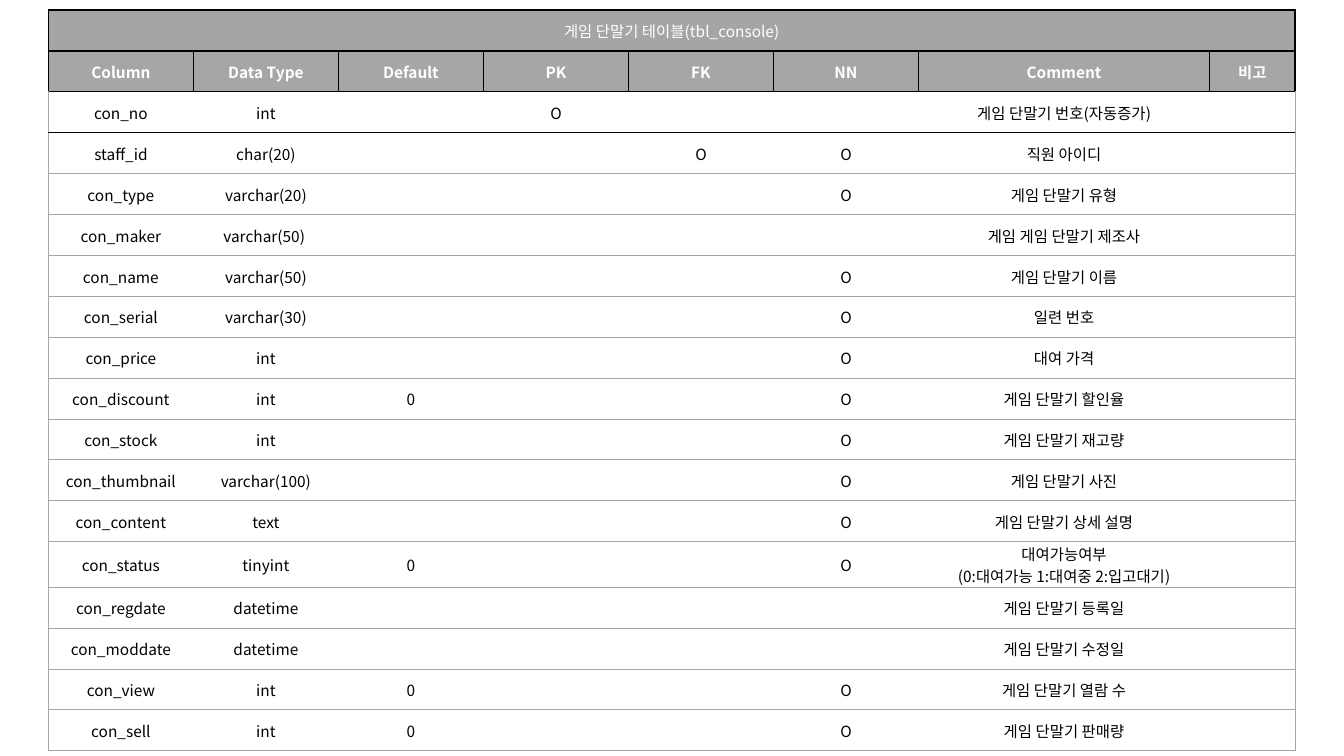
from lxml.etree import SubElement
from pptx import Presentation
from pptx.dml.color import RGBColor
from pptx.enum.text import MSO_ANCHOR, PP_ALIGN
from pptx.oxml.ns import qn
from pptx.util import Pt

FONT = "Noto Sans CJK KR"
BLACK, WHITE, GRAY = "000000", "FFFFFF", "A5A5A5"
HEADERS = ["Column", "Data Type", "Default", "PK", "FK", "NN", "Comment", "비고"]
FIELDS = [
    ["con_no", "int", "", "O", "", "", "게임 단말기 번호(자동증가)", ""],
    ["staff_id", "char(20)", "", "", "O", "O", "직원 아이디", ""],
    ["con_type", "varchar(20)", "", "", "", "O", "게임 단말기 유형", ""],
    ["con_maker", "varchar(50) ", "", "", "", "", "게임 게임 단말기 제조사", ""],
    ["con_name", "varchar(50)", "", "", "", "O", "게임 단말기 이름", ""],
    ["con_serial", "varchar(30)", "", "", "", "O", "일련 번호", ""],
    ["con_price", "int", "", "", "", "O", "대여 가격", ""],
    ["con_discount", "int", "0", "", "", "O", "게임 단말기 할인율", ""],
    ["con_stock", "int", "", "", "", "O", "게임 단말기 재고량", ""],
    ["con_thumbnail", "varchar(100)", "", "", "", "O", "게임 단말기 사진", ""],
    ["con_content", "text", "", "", "", "O", "게임 단말기 상세 설명", ""],
    ["con_status", "tinyint", "0", "", "", "O",
     "대여가능여부\n(0:대여가능 1:대여중 2:입고대기)", ""],
    ["con_regdate", "datetime", "", "", "", "", "게임 단말기 등록일", ""],
    ["con_moddate", "datetime", "", "", "", "", "게임 단말기 수정일", ""],
    ["con_view", "int", "0", "", "", "O", "게임 단말기 열람 수", ""],
    ["con_sell", "int", "0", "", "", "O", "게임 단말기 판매량", ""],
]
ROWS = [["게임 단말기 테이블(tbl_console)"] + [""] * 7, HEADERS] + FIELDS
COLUMN_WIDTHS = [103.6] * 6 + [208, 61]
ROW_HEIGHT = 29.2


def write_cell(cell, text, color=BLACK, bold=False, size=11):
    cell.vertical_anchor = MSO_ANCHOR.MIDDLE
    cell.margin_left = cell.margin_right = cell.margin_top = Pt(0.7)
    cell.margin_bottom = 0
    paragraph = cell.text_frame.paragraphs[0]
    paragraph.text = text
    paragraph.alignment = PP_ALIGN.CENTER
    for run in paragraph.runs:
        run.font.size = Pt(size)
        run.font.bold = bold
        run.font.color.rgb = RGBColor.from_string(color)
        run.font.name = FONT
        SubElement(run.font._element, qn("a:ea"), typeface=FONT)


def set_border(cell, side, color, width):
    properties = cell._tc.get_or_add_tcPr()
    line = SubElement(properties, qn(f"a:ln{side}"), w=str(Pt(width)))
    if color is None:
        SubElement(line, qn("a:noFill"))
    else:
        fill = SubElement(line, qn("a:solidFill"))
        SubElement(fill, qn("a:srgbClr"), val=color)


presentation = Presentation()
presentation.slide_width, presentation.slide_height = Pt(960), Pt(540)
slide = presentation.slides.add_slide(presentation.slide_layouts[6])

table = slide.shapes.add_table(
    len(ROWS), len(HEADERS), Pt(34.6), Pt(7.2),
    Pt(sum(COLUMN_WIDTHS)), Pt(ROW_HEIGHT * len(ROWS)),
).table
table.horz_banding = False
for column, width in zip(table.columns, COLUMN_WIDTHS):
    column.width = Pt(width)
for row in table.rows:
    row.height = Pt(ROW_HEIGHT)

last_column = len(HEADERS) - 1
for row_index, texts in enumerate(ROWS):
    is_header = row_index < 2
    for column_index, text in enumerate(texts):
        cell = table.cell(row_index, column_index)
        write_cell(cell, text, color=WHITE if is_header else BLACK, bold=row_index == 1)
        if is_header:
            borders = dict.fromkeys("LRTB", (BLACK, 1))
        else:
            borders = {
                "L": (GRAY if column_index == 0 else None, 0.5),
                "R": (GRAY if column_index == last_column else None, 0.5),
                "T": (BLACK, 1) if row_index <= 3 else (GRAY, 0.5),
                "B": (BLACK, 1) if row_index == 2 else (GRAY, 0.5),
            }
        for side, (color, width) in borders.items():
            set_border(cell, side, color, width)
        if is_header:
            cell.fill.solid()
            cell.fill.fore_color.rgb = RGBColor.from_string("A6A6A6" if row_index else GRAY)
        else:
            cell.fill.background()

table.cell(0, 0).merge(table.cell(0, last_column))
presentation.save("out.pptx")
